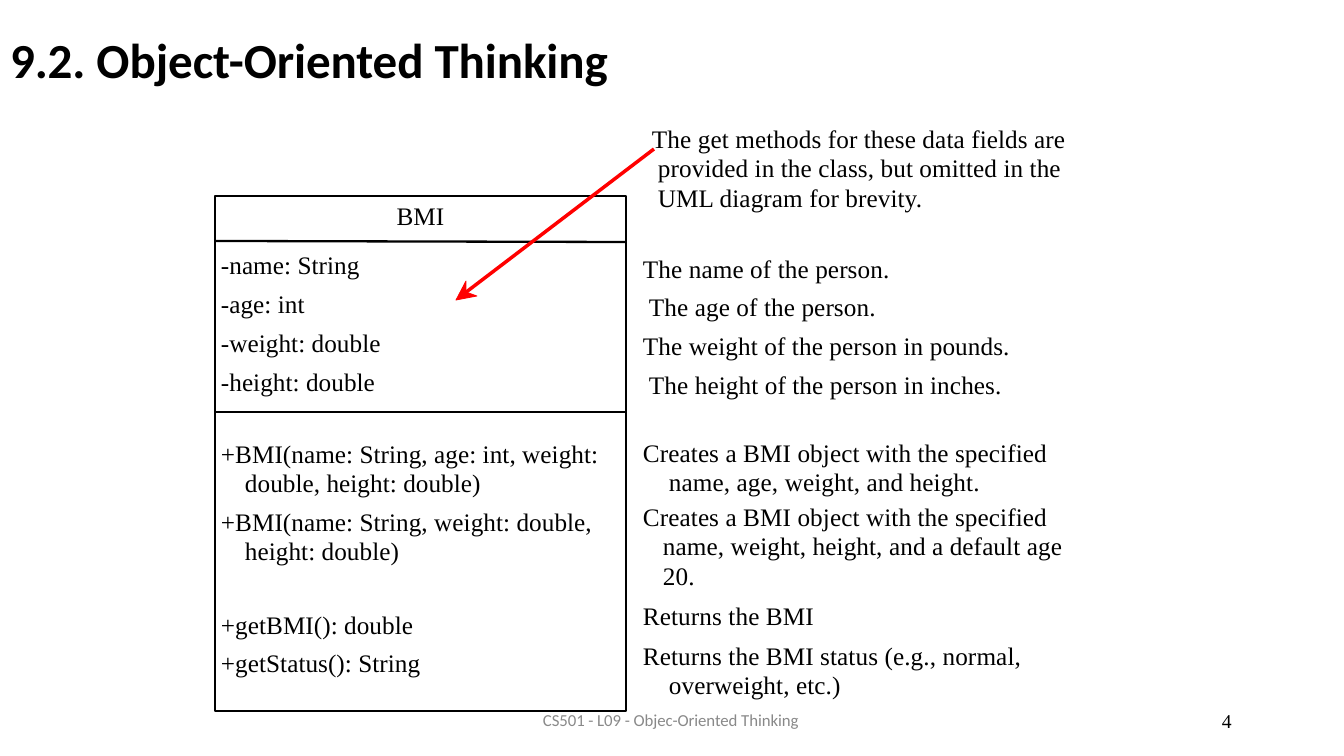
from pptx import Presentation
from pptx.dml.color import RGBColor
from pptx.enum.shapes import MSO_CONNECTOR, MSO_SHAPE
from pptx.enum.text import PP_ALIGN
from pptx.oxml.ns import qn
from pptx.util import Pt
from lxml.etree import SubElement

# Content: each row is top y, line count, left indent, first-line indent, text
TITLE = "9.2. Object-Oriented Thinking"
FOOTER = "CS501 - L09 - Objec-Oriented Thinking"
PAGE = "4"
NAME = [(201, 1, 0, 0, "BMI")]
MEMBERS = [
    (250, 1, 5, 0, "-name: String"),
    (289, 1, 5, 0, "-age: int"),
    (328, 1, 5, 0, "-weight: double"),
    (367, 1, 5, 0, "-height: double"),
    (439, 2, 29, -24, "+BMI(name: String, age: int, weight: double, height: double)"),
    (507, 2, 29, -24, "+BMI(name: String, weight: double, height: double)"),
    (610, 1, 5, 0, "+getBMI(): double"),
    (648, 1, 5, 0, "+getStatus(): String"),
]
NOTES = [
    (124, 3, 16, -6, "The get methods for these data fields are provided in the class, "
                     "but omitted in the UML diagram for brevity."),
    (254, 1, 1, 0, "The name of the person."),
    (292, 1, 7, 0, "The age of the person."),
    (331, 1, 1, 0, "The weight of the person in pounds."),
    (370, 1, 7, 0, "The height of the person in inches."),
    (438, 2, 27, -26, "Creates a BMI object with the specified name, age, weight, and height."),
    (502, 3, 21, -20, "Creates a BMI object with the specified name, weight, height, "
                      "and a default age 20."),
    (601, 1, 1, 0, "Returns the BMI"),
    (641, 2, 27, -26, "Returns the BMI status (e.g., normal, overweight, etc.)"),
]
COLORS = {"ink": "000000", "red": "FF0000", "gray": "898989"}
SERIF, SANS = "Times New Roman", "Calibri"

# Geometry in px
WIDE, HIGH = 1344, 756
BOX = (215, 196, 411, 515)
RULES = [(241, 242), (412, 412)]
SHAFT = (654, 149, 465, 293)
HEAD = [(456, 300), (466, 281), (466, 292), (477, 296)]
LEAD = 21  # line height of the diagram text, in points


def px(n):
    return round(n * 914400 / 100.8)


def color(key):
    return RGBColor.from_string(COLORS[key])


def frame(x, y, w, h):
    box = slide.shapes.add_textbox(px(x), px(y), px(w), px(h)).text_frame
    box.word_wrap = True
    box.margin_left = box.margin_right = box.margin_top = box.margin_bottom = 0
    return box


def write(para, text, size, font=SERIF, ink="ink", bold=False, gap=0):
    run = para.add_run()
    run.text = text
    run.font.size, run.font.name, run.font.bold = Pt(size), font, bold
    run.font.color.rgb = color(ink)
    run.font._element.set("spc", str(gap))


def column(x, w, rows, gap, align=PP_ALIGN.LEFT):
    step = LEAD * 1.4
    end = top = rows[0][0]
    last = rows[-1][0] + rows[-1][1] * step
    box = frame(x, top, w, last - top)
    for i, (y, count, left, first, text) in enumerate(rows):
        para = box.add_paragraph() if i else box.paragraphs[0]
        para.alignment = align
        para.line_spacing = Pt(LEAD)
        para.space_before = px(max(0, y - end))
        props = para._p.get_or_add_pPr()
        props.set("marL", str(px(left)))
        props.set("indent", str(px(first)))
        write(para, text, 18, gap=gap)
        end = max(y, end) + count * step


def line(x1, y1, x2, y2, ink, width):
    link = slide.shapes.add_connector(MSO_CONNECTOR.STRAIGHT, px(x1), px(y1), px(x2), px(y2))
    link.line.color.rgb = color(ink)
    link.line.width = Pt(width)
    SubElement(link._element.spPr, qn("a:effectLst"))


deck = Presentation()
deck.slide_width, deck.slide_height = px(WIDE), px(HIGH)
slide = deck.slides.add_slide(deck.slide_layouts[6])

# Class box with its dividers
x, y, w, h = BOX
card = slide.shapes.add_shape(MSO_SHAPE.RECTANGLE, px(x), px(y), px(w), px(h))
card.shadow.inherit = False
card.fill.background()
card.line.color.rgb = color("ink")
card.line.width = Pt(1.65)
for left, right in RULES:
    line(x, left, x + w, right, "ink", 1.65)

# Class name, members and their notes
column(x, w, NAME, 6, PP_ALIGN.CENTER)
column(x + 1, w - 2, MEMBERS, 5)
column(642, 438, NOTES, 8)

# Arrow from the top note to the fields
line(*SHAFT, "red", 2.5)
pen = slide.shapes.build_freeform(*HEAD[0], scale=px(100) / 100)
pen.add_line_segments(HEAD[1:], close=True)
tip = pen.convert_to_shape()
tip.shadow.inherit = False
tip.fill.solid()
tip.fill.fore_color.rgb = tip.line.color.rgb = color("red")
tip.line.width = Pt(0.55)

# Title, footer and page number
write(frame(10, 30, 700, 60).paragraphs[0], TITLE, 35, SANS, bold=True, gap=-8)
write(frame(543, 710, 280, 23).paragraphs[0], FOOTER, 12, SANS, "gray", gap=-5)
write(frame(1222, 709, 30, 24).paragraphs[0], PAGE, 14)

deck.save("out.pptx")
